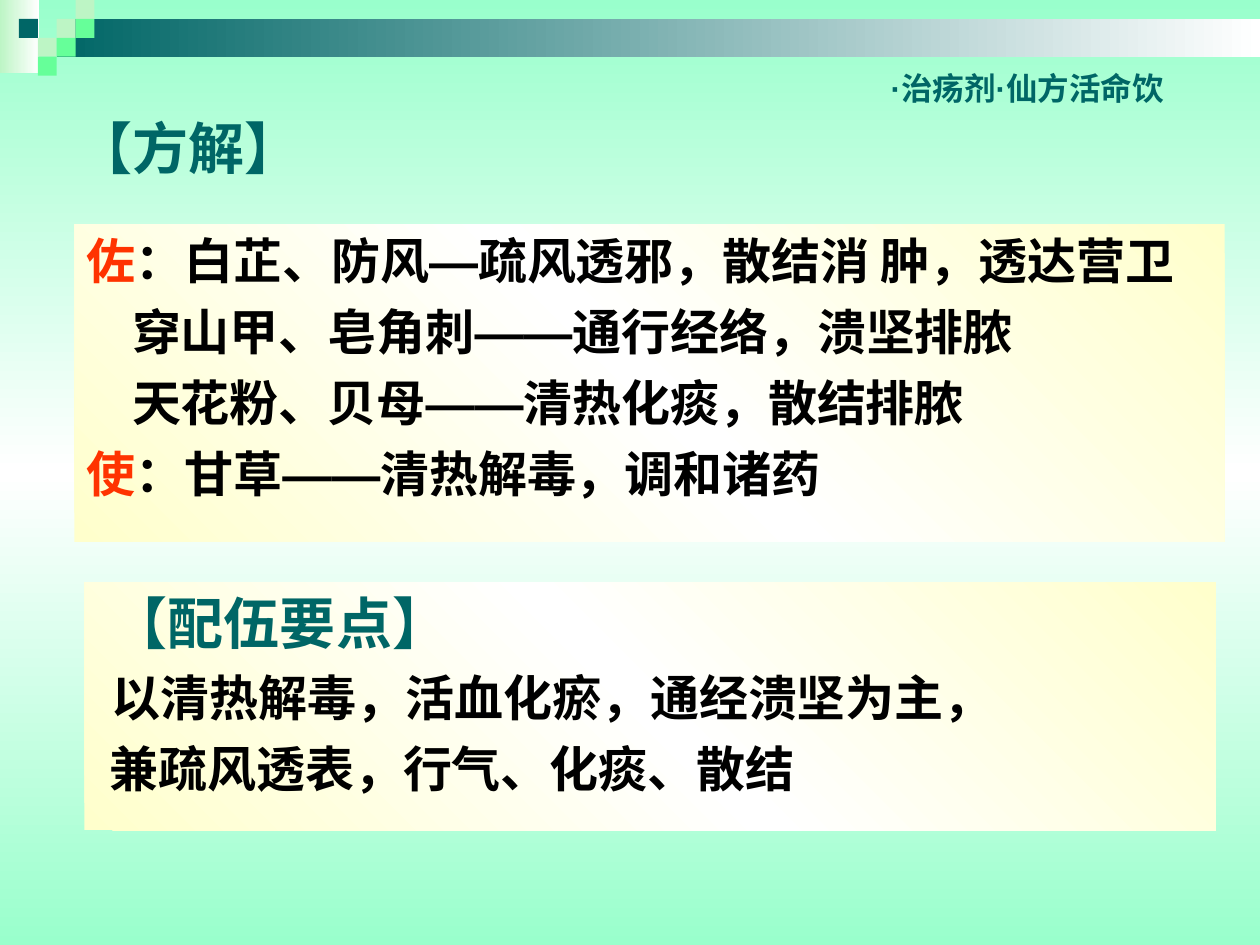
"""Build the slide on the roles of herbs in a formula."""
from lxml.etree import SubElement
from pptx import Presentation
from pptx.dml.color import RGBColor
from pptx.enum.shapes import MSO_SHAPE
from pptx.enum.text import MSO_ANCHOR, PP_ALIGN
from pptx.oxml.ns import qn
from pptx.util import Inches, Pt

TEAL, MINT, LIME, RED = "006666", "BDF5C5", "66FF99", "FF3300"
BLACK, WHITE, CREAM, AQUA = "000000", "FFFFFF", "FFFFCC", "99FFCC"
SANS, CJK, SC = "Arial", "Noto Sans CJK JP", "Noto Sans CJK SC"

BARS = [((0, 0, 0.31, 0.58), MINT), ((0.45, 0.15, 9.55, 0.3), TEAL)]
SIDE = 0.15
TILES = [(3, 1, MINT), (4, 0, MINT), (4, 1, LIME), (2, 2, MINT),
         (1, 1, TEAL), (3, 2, LIME), (2, 3, LIME)]

TITLE = [dict(size=32, runs=[("【方解】", SC, TEAL)])]
HEAD = [dict(size=18, runs=[("·", SANS, TEAL), ("治疡剂", SC, TEAL),
                            ("·", SANS, TEAL), ("仙方活命饮", SC, TEAL)])]


def herb(role, names, dash, use):
    """Return one line that links herbs to their use."""
    runs = [(names, CJK, BLACK), (dash, SANS, BLACK), (use, CJK, BLACK)]
    if role:
        runs.insert(0, (role, CJK, RED))
    return dict(size=28, left=0 if role else 0.36, runs=runs)


ROLES = [
    herb("佐", "：白芷、防风", "—", "疏风透邪，散结消 肿，透达营卫"),
    herb("", "穿山甲、皂角刺", "——", "通行经络，溃坚排脓"),
    herb("", "天花粉、贝母", "——", "清热化痰，散结排脓"),
    herb("使", "：甘草", "——", "清热解毒，调和诸药"),
]
POINTS = [
    dict(size=32, left=0.12, runs=[("【配伍要点】", SC, TEAL)]),
    dict(size=28, left=0.12,
         runs=[("以清热解毒，活血化瘀，通经溃坚为主，", CJK, BLACK)]),
    dict(size=28, left=0.1,
         runs=[("兼疏风透表，行气、化痰、散结", CJK, BLACK)]),
]
PANELS = [((0.59, 1.78, 9.13, 2.52), ROLES), ((0.67, 4.62, 8.98, 1.97), POINTS)]


def color(code):
    """Turn a hex string into a colour."""
    return RGBColor.from_string(code)


def blend(fill, node, codes, angle):
    """Give a fill evenly spaced gradient stops at a clockwise angle."""
    fill.gradient()
    grad = node.find(".//" + qn("a:gradFill"))
    stops = grad.find(qn("a:gsLst"))
    for old in list(stops):
        stops.remove(old)
    for i, code in enumerate(codes):
        stop = SubElement(stops, qn("a:gs"), pos=str(i * 100000 // (len(codes) - 1)))
        SubElement(stop, qn("a:srgbClr"), val=code)
    grad.find(qn("a:lin")).set("ang", str(angle * 60000))


def block(slide, box, codes, angle=0):
    """Add a plain rectangle with one colour or a gradient."""
    shape = slide.shapes.add_shape(MSO_SHAPE.RECTANGLE, *map(Inches, box))
    shape.shadow.inherit = False
    shape.line.fill.background()
    if len(codes) > 1:
        blend(shape.fill, shape.element, codes, angle)
    else:
        shape.fill.solid()
        shape.fill.fore_color.rgb = color(codes[0])
    return shape


def write(shape, lines, anchor=MSO_ANCHOR.TOP):
    """Fill a shape with styled lines."""
    frame = shape.text_frame
    frame.word_wrap = True
    frame.vertical_anchor = anchor
    for i, line in enumerate(lines):
        para = frame.add_paragraph() if i else frame.paragraphs[0]
        look = dict(alignment=PP_ALIGN.LEFT, space_before=Pt(7 if i else 0),
                    line_spacing=Pt(round(line["size"] * 1.2, 1)))
        for key, value in look.items():
            setattr(para, key, value)
        para._p.get_or_add_pPr().set("marL", str(Inches(line.get("left", 0))))
        for text, face, code in line["runs"]:
            run = para.add_run()
            run.text = text
            for key, value in dict(size=Pt(line["size"]), bold=True, name=face).items():
                setattr(run.font, key, value)
            run.font.color.rgb = color(code)
            SubElement(run._r.get_or_add_rPr(), qn("a:ea"), typeface=face)


def main():
    """Build and save the slide."""
    deck = Presentation()
    deck.slide_width, deck.slide_height = Inches(10), Inches(7.5)
    slide = deck.slides.add_slide(deck.slide_layouts[5])
    back = slide.background
    blend(back.fill, slide.element, (AQUA, WHITE, AQUA), 90)

    for box, code in BARS:
        block(slide, box, (code, WHITE))
    for col, row, code in TILES:
        block(slide, (col * SIDE, row * SIDE, SIDE, SIDE), (code,))

    title = slide.shapes.title
    spots = dict(left=0.51, top=0.68, width=2.68, height=0.98)
    for key, value in spots.items():
        setattr(title, key, Inches(value))
    write(title, TITLE, MSO_ANCHOR.MIDDLE)
    write(slide.shapes.add_textbox(*map(Inches, (6.97, 0.5, 2.41, 0.7))), HEAD)
    for box, lines in PANELS:
        write(block(slide, box, (CREAM, WHITE, CREAM), 315), lines)
    deck.save("out.pptx")


if __name__ == "__main__":
    main()
